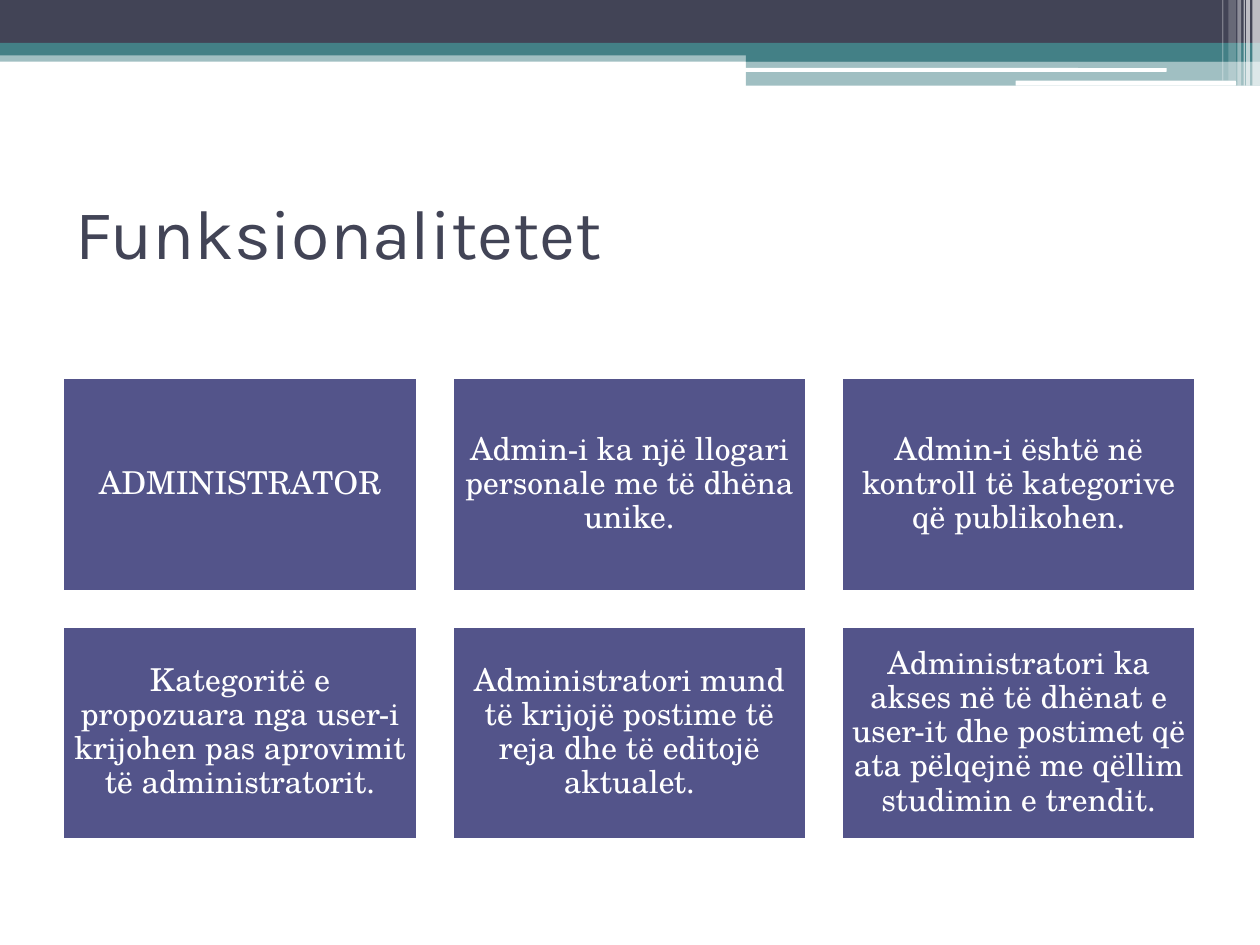
import pptx
import pptx.dml.color
import pptx.enum.shapes
import pptx.enum.text
import pptx.util
from lxml import etree
from pptx.util import Inches

SHAPE = pptx.enum.shapes.MSO_SHAPE
ALIGN = pptx.enum.text.PP_ALIGN
WHITE, DARK, TEAL, VIOLET = "FFFFFF", "424456", "438086", "53548A"

TITLE = "Funksionalitetet"
CARDS = [
    "ADMINISTRATOR",
    "Admin-i ka një llogari personale me të dhëna unike.",
    "Admin-i është në kontroll të kategorive që publikohen.",
    "Kategoritë e propozuara nga user-i krijohen pas aprovimit të administratorit.",
    "Administratori mund të krijojë postime të reja dhe të editojë aktualet.",
    "Administratori ka akses në të dhënat e user-it dhe postimet që ata "
    "pëlqejnë me qëllim studimin e trendit.",
]

# Header bands: left, top, width, height, colour, opacity in percent
BANDS = [
    (0, 0.4, 10, 0.09, TEAL, 50),
    (0, 0, 10, 0.34, DARK, 100),
    (0, 0.34, 10, 0.1, TEAL, 100),
    (5.92, 0.39, 4.08, 0.1, TEAL, 100),
    (5.92, 0.48, 4.08, 0.2, TEAL, 50),
]
# Rounded white bars: left, top, width, height
BARS = [(5.91, 0.54, 3.35, 0.03), (8.06, 0.64, 1.75, 0.04)]
# White stripes at the right edge: left, width, height, opacity in percent
STRIPES = [
    (9.94, 0.06, 0.68, 65),
    (9.89, 0.03, 0.68, 65),
    (9.87, 0.01, 0.68, 60),
    (9.82, 0.03, 0.68, 40),
    (9.75, 0.06, 0.64, 20),
    (9.7, 0.01, 0.64, 30),
]

# Card grid
COLS, GRID_LEFT, GRID_TOP = 3, 0.5, 3
CARD_W, CARD_H, GAP = 2.81, 1.69, 0.28


def rgb(value):
    return pptx.dml.color.RGBColor.from_string(value)


def add_block(s, x, y, w, h, color, opacity=100, kind=SHAPE.RECTANGLE):
    sp = s.shapes.add_shape(kind, Inches(x), Inches(y), Inches(w), Inches(h))
    sp.shadow.inherit = False
    sp.fill.solid()
    sp.fill.fore_color.rgb = rgb(color)
    sp.line.fill.background()
    if opacity < 100:
        clr = sp.fill._xPr.find(".//" + pptx.oxml.ns.qn("a:srgbClr"))
        etree.SubElement(clr, pptx.oxml.ns.qn("a:alpha"), val=str(opacity * 1000))
    return sp


def write(sp, text, font, size, color, align=ALIGN.LEFT, spacing=1.0,
          inset_x=0.1, inset_y=0.05):
    tf = sp.text_frame
    tf.word_wrap = True
    tf.vertical_anchor = pptx.enum.text.MSO_ANCHOR.MIDDLE
    tf.margin_left = tf.margin_right = Inches(inset_x)
    tf.margin_top = tf.margin_bottom = Inches(inset_y)
    p = tf.paragraphs[0]
    p.alignment = align
    p.line_spacing = spacing
    r = p.add_run()
    r.text = text
    r.font.name = font
    r.font.size = pptx.util.Pt(size)
    r.font.color.rgb = rgb(color)


prs = pptx.Presentation()
prs.slide_width, prs.slide_height = Inches(10), Inches(7.5)
s = prs.slides.add_slide(prs.slide_layouts[6])

# Header decoration
for band in BANDS:
    add_block(s, *band)
for bar in BARS:
    add_block(s, *bar, WHITE, kind=SHAPE.ROUNDED_RECTANGLE)
for x, w, h, opacity in STRIPES:
    add_block(s, x, 0, w, h, WHITE, opacity)

# Title
title = s.shapes.add_textbox(Inches(0.5), Inches(1.25), Inches(9), Inches(1.17))
write(title, TITLE, "Karla", 40, DARK)

# Cards
for i, text in enumerate(CARDS):
    row, col = divmod(i, COLS)
    card = add_block(s, GRID_LEFT + col * (CARD_W + GAP),
                     GRID_TOP + row * (CARD_H + GAP), CARD_W, CARD_H, VIOLET)
    card.line.color.rgb = rgb(WHITE)
    card.line.width = pptx.util.Pt(1.5)
    write(card, text, "TeX Gyre Schola", 18, WHITE, align=ALIGN.CENTER,
          spacing=0.9, inset_x=0.07, inset_y=0.07)

prs.save("out.pptx")
